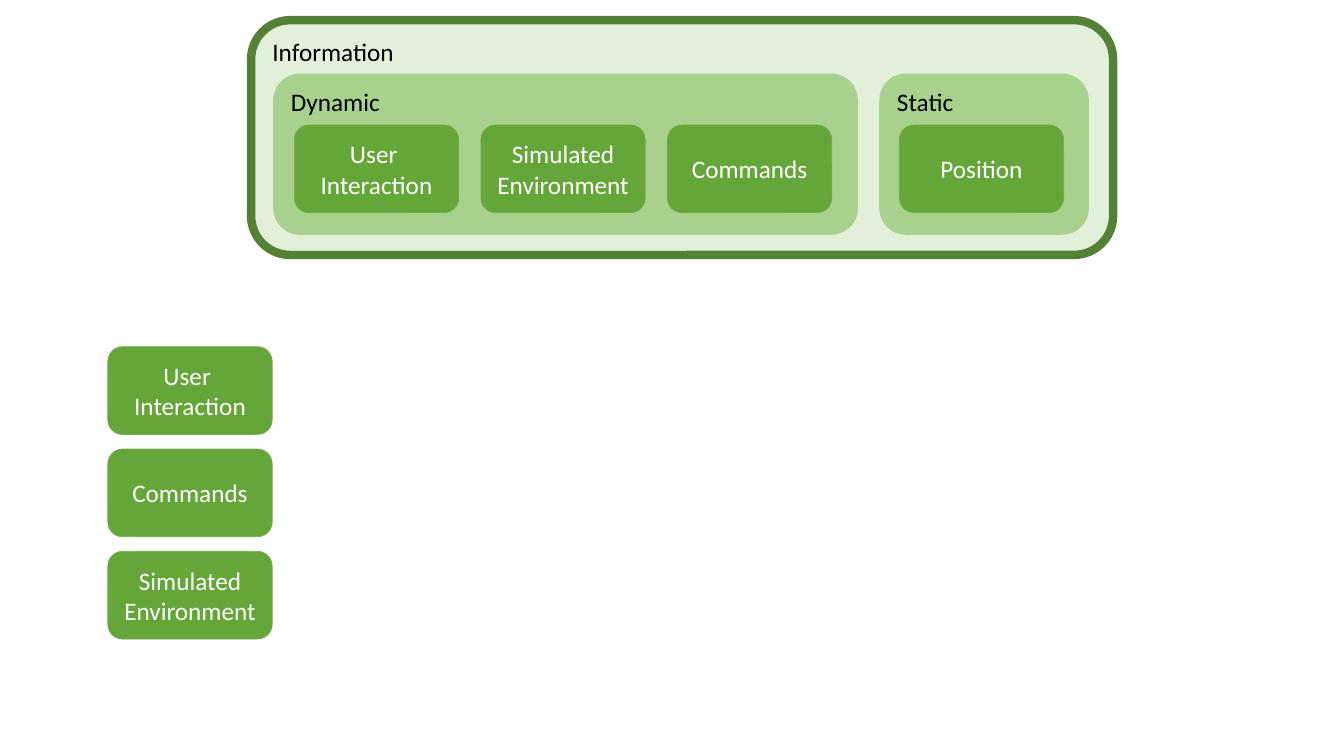
import pptx
import pptx.util
import pptx.dml.color
import pptx.enum.shapes
import pptx.enum.text

Inches = pptx.util.Inches
Pt = pptx.util.Pt

COLORS = {
    "outer": "E2F0D9", "outer_line": "548235", "group": "A9D18E",
    "card": "65A638", "card_line": "70AD47", "dark": "000000", "light": "FFFFFF",
}

USER = ["User ", "Interaction"]
SIMULATED = ["Simulated Environment"]
COMMANDS = ["Commands"]
POSITION = ["Position"]

OUTER = ("Information", (2.49, 0.2, 8.55, 2.33))
# name, left, width, left of first card, cards
GROUPS = [
    ("Dynamic", 2.71, 5.8, 2.92, [USER, SIMULATED, COMMANDS]),
    ("Static", 8.72, 2.08, 8.92, [POSITION]),
]
COLUMN = [USER, COMMANDS, SIMULATED]

GROUP_TOP, GROUP_H = 0.73, 1.6
CARD_W, CARD_H = 1.63, 0.87
CARD_TOP, CARD_STEP_X = 1.24, 1.85
COLUMN_LEFT, COLUMN_TOP, COLUMN_STEP_Y = 1.07, 3.44, 1.015


def rgb(name):
    return pptx.dml.color.RGBColor.from_string(COLORS[name])


def add_box(s, box, lines, fill, ink, line=None, line_pt=0, centered=False):
    """Add a rounded box with one paragraph per entry of lines."""
    sp = s.shapes.add_shape(
        pptx.enum.shapes.MSO_SHAPE.ROUNDED_RECTANGLE, *map(Inches, box))
    sp.shadow.inherit = False
    sp.fill.solid()
    sp.fill.fore_color.rgb = rgb(fill)
    if line:
        sp.line.color.rgb = rgb(line)
        sp.line.width = Pt(line_pt)
    else:
        sp.line.fill.background()

    anchors, aligns = pptx.enum.text.MSO_ANCHOR, pptx.enum.text.PP_ALIGN
    tf = sp.text_frame
    tf.word_wrap = True
    tf.vertical_anchor = anchors.MIDDLE if centered else anchors.TOP
    for i, text in enumerate(lines):
        p = tf.add_paragraph() if i else tf.paragraphs[0]
        p.alignment = aligns.CENTER if centered else aligns.LEFT
        r = p.add_run()
        r.text = text
        r.font.name = "Calibri"
        r.font.size = Pt(18)
        r.font.color.rgb = rgb(ink)


def add_card(s, left, top, lines):
    add_box(s, (left, top, CARD_W, CARD_H), lines, "card", "light",
            "card_line", 0.5, centered=True)


def main():
    prs = pptx.Presentation()
    prs.slide_width, prs.slide_height = Inches(13.33), Inches(7.5)
    s = prs.slides.add_slide(prs.slide_layouts.get_by_name("Blank"))

    name, box = OUTER
    add_box(s, box, [name], "outer", "dark", "outer_line", 6)
    for name, left, width, card_left, cards in GROUPS:
        add_box(s, (left, GROUP_TOP, width, GROUP_H), [name], "group", "dark")
        for i, lines in enumerate(cards):
            add_card(s, card_left + i * CARD_STEP_X, CARD_TOP, lines)
    for i, lines in enumerate(COLUMN):
        add_card(s, COLUMN_LEFT, COLUMN_TOP + i * COLUMN_STEP_Y, lines)

    prs.save("out.pptx")


if __name__ == "__main__":
    main()
